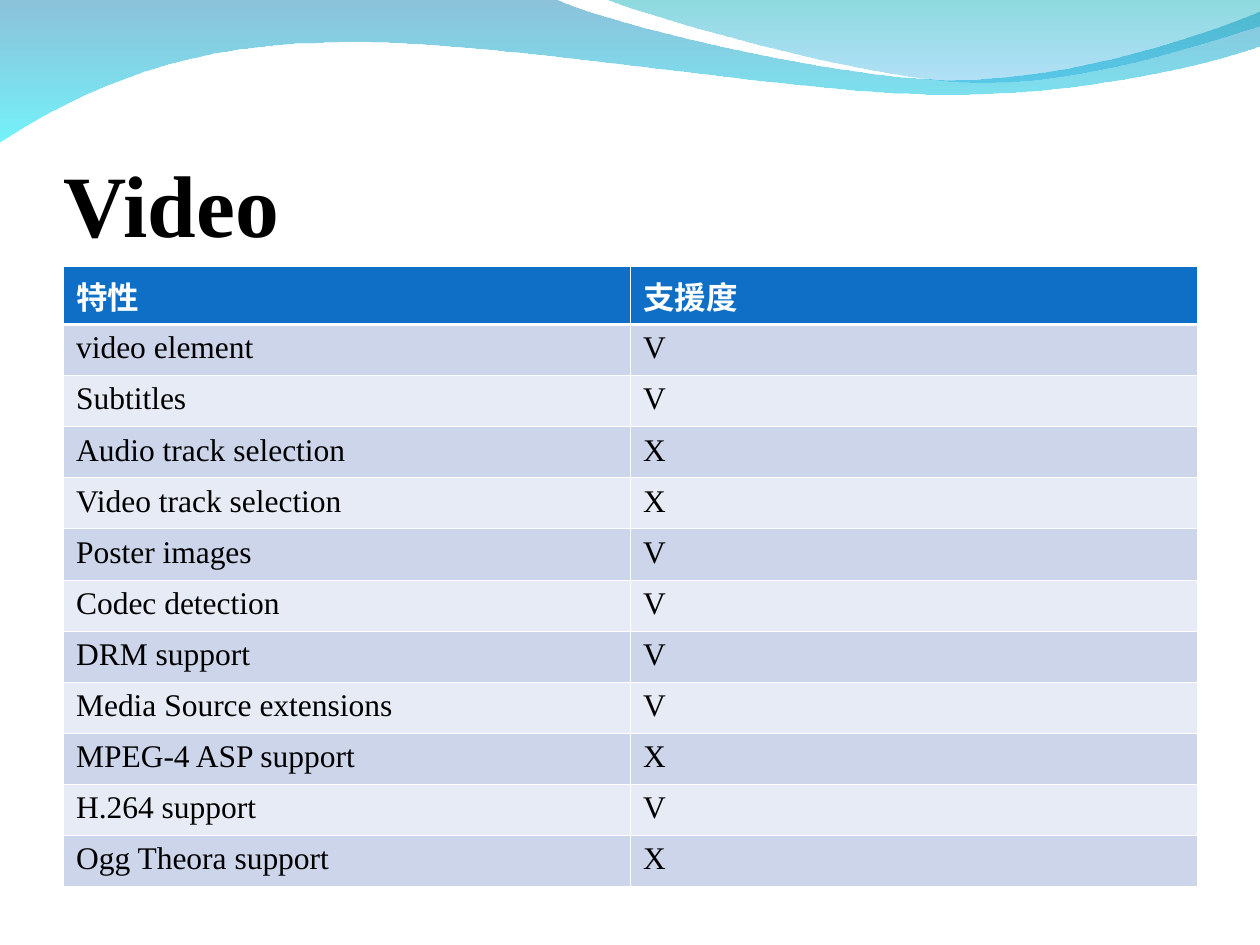
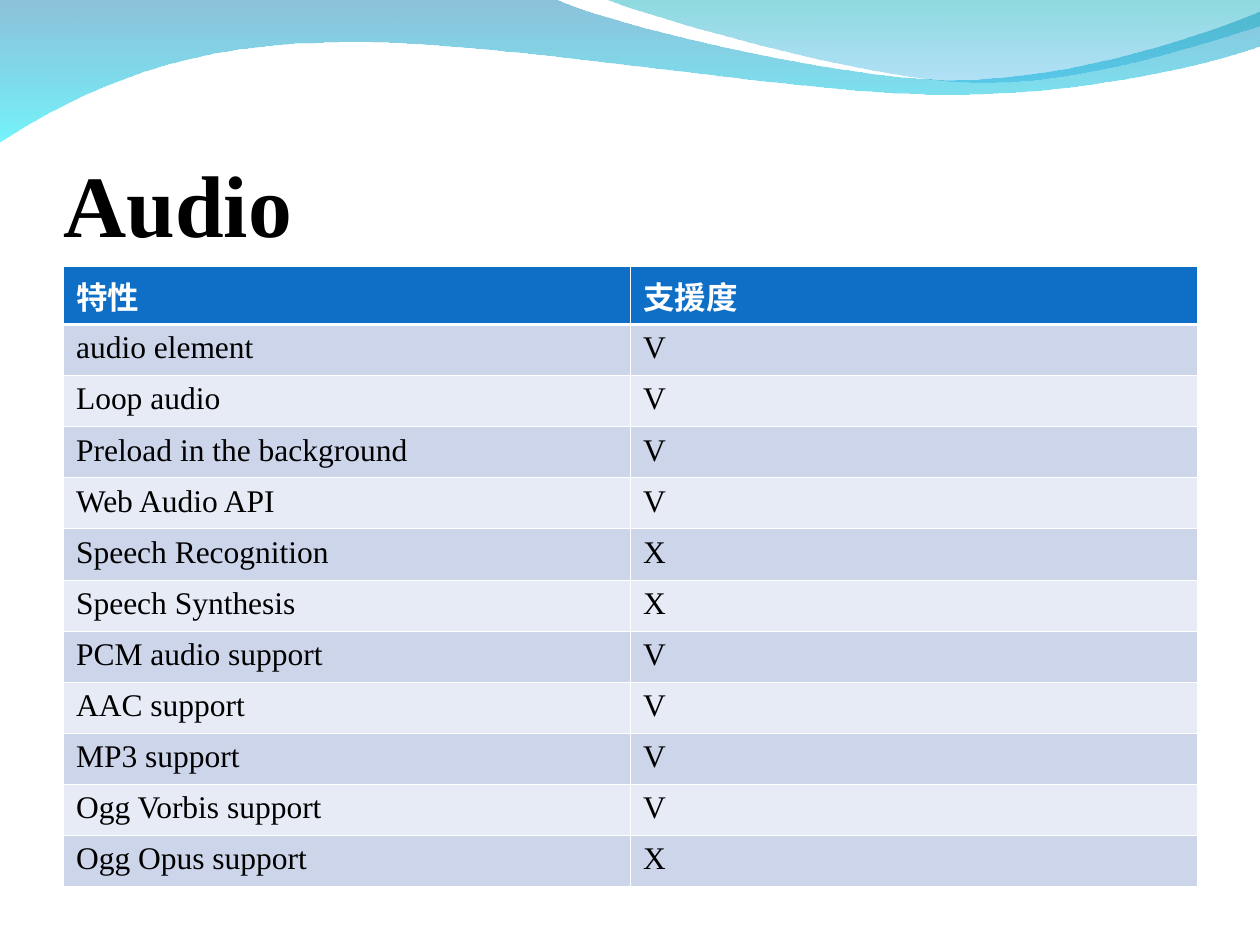
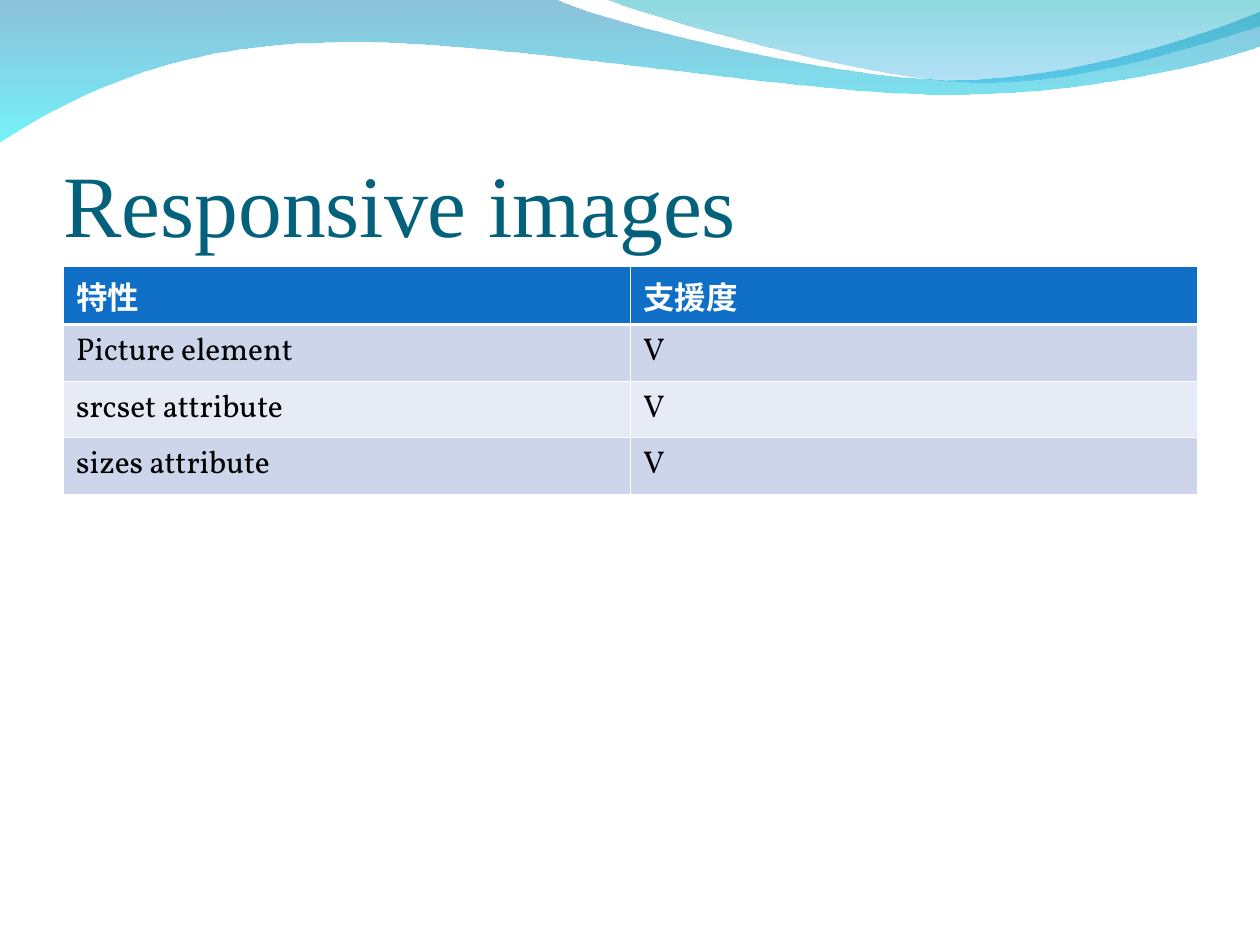
from lxml import etree
from pptx import Presentation
from pptx.dml.color import RGBColor
from pptx.enum.text import MSO_ANCHOR
from pptx.oxml.ns import qn
from pptx.util import Cm, Pt

BOTTOM = MSO_ANCHOR.BOTTOM
COLORS = {
    "white": "FFFFFF", "black": "000000", "teal": "04617B",
    "header": "0F6FC6", "band_dark": "CCD5EA", "band_light": "E7EBF5",
    "wave_blue": "0079AF", "wave_cyan": "00EBF8",
    "wave_green": "00ADB6", "wave_sky": "009BE5",
}
SERIF, CJK, BODY = "Times New Roman", "Noto Sans CJK SC", "Vollkorn"
THIN, THICK = 0.45, 1.47
BLANK_LAYOUT = 6
FIRST_WAVE_ID = 20
HEADER_HEIGHT = Cm(1.17)
ROW_HEIGHTS = {SERIF: Cm(1.03), BODY: Cm(1.14)}

# Outlines in cm: one point makes a line, three points make a Bézier curve.
WAVES = [
    {"start": (0, -0.03),
     "segments": [[(11.18, -0.03)],
                  [(12.09, 0.43), (16.87, 1.6), (19.25, 1.6)],
                  [(21.67, 1.6), (24.33, 0.66), (25.4, 0.23)],
                  [(25.43, 0.91)],
                  [(24.97, 1.12), (22.1, 1.93), (18.95, 1.9)],
                  [(15.8, 1.9), (9.7, 0.71), (6.53, 0.86)],
                  [(3.28, 0.89), (1.17, 2.11), (-0.03, 2.87)]],
     "stops": [("wave_blue", 45), ("wave_cyan", 55)]},
    {"start": (12.17, -0.03),
     "segments": [[(12.93, 0.28), (17.32, 1.57), (19.53, 1.65)],
                  [(21.74, 1.75), (24.41, 0.81), (25.4, 0.53)],
                  [(25.4, 0)]],
     "stops": [("wave_green", 45), ("wave_sky", 30)]},
]

HEADINGS = ("特性", "支援度")
TOPICS = [
    {"title": "Video", "color": "black", "bold": True, "font": SERIF,
     "features": [
         ("video element", "V"), ("Subtitles", "V"),
         ("Audio track selection", "X"), ("Video track selection", "X"),
         ("Poster images", "V"), ("Codec detection", "V"),
         ("DRM support", "V"), ("Media Source extensions", "V"),
         ("MPEG-4 ASP support", "X"), ("H.264 support", "V"),
         ("Ogg Theora support", "X")]},
    {"title": "Audio", "color": "black", "bold": True, "font": SERIF,
     "features": [
         ("audio element", "V"), ("Loop audio", "V"),
         ("Preload in the background", "V"), ("Web Audio API", "V"),
         ("Speech Recognition", "X"), ("Speech Synthesis", "X"),
         ("PCM audio support", "V"), ("AAC support", "V"),
         ("MP3 support", "V"), ("Ogg Vorbis support", "V"),
         ("Ogg Opus support", "X")]},
    {"title": "Responsive images", "color": "teal", "bold": False, "font": BODY,
     "features": [
         ("Picture element", "V"), ("srcset attribute", "V"),
         ("sizes attribute", "V")]},
]


def rgb(name):
    return RGBColor.from_string(COLORS[name])


def add_run(paragraph, text, size, font_name, color, bold):
    run = paragraph.add_run()
    run.text = text
    run.font.size = Pt(size)
    run.font.name = font_name
    run.font.bold = bold
    run.font.color.rgb = rgb(color)
    if font_name == CJK:
        etree.SubElement(run.font._element, qn("a:ea"), typeface=font_name)


def bend_lines(wave, segments):
    """Merge the three lines through each curve's points into one Bézier."""
    lines = iter(list(wave._element.iter(qn("a:lnTo"))))
    for segment in segments:
        parts = [next(lines) for _ in segment]
        if len(parts) == 3:
            parts[0].tag = qn("a:cubicBezTo")
            for part in parts[1:]:
                parts[0].append(part[0])
                part.getparent().remove(part)


def add_wave(slide, left, top, start, segments, stops):
    def to_emu(point):
        return Cm(point[0]), Cm(point[1])

    builder = slide.shapes.build_freeform(*to_emu(start))
    builder.add_line_segments([to_emu(p) for s in segments for p in s], close=False)
    builder.add_line_segments([], close=True)
    wave = builder.convert_to_shape(left, top)
    bend_lines(wave, segments)
    wave.shadow.inherit = False
    wave.line.fill.background()
    wave.fill.gradient()
    wave.fill.gradient_angle = 270
    for stop, (color, _) in zip(wave.fill.gradient_stops, stops):
        stop.color.rgb = rgb(color)
    stop_colors = list(wave._element.spPr.iter(qn("a:srgbClr")))
    for stop_color, (_, opacity) in zip(stop_colors, stops):
        etree.SubElement(stop_color, qn("a:alpha"), val=str(opacity * 1000))
    return wave


def move_waves_to_layout(slide):
    """Draw the waves on the slide, then hand them to its layout for all slides."""
    for wave_id, outline in enumerate(WAVES, FIRST_WAVE_ID):
        element = add_wave(slide, 0, 0, **outline)._element
        element.nvSpPr.cNvPr.set("id", str(wave_id))
        slide.slide_layout.shapes._spTree.append(element)


def add_title(slide, left, top, width, height, topic):
    frame = slide.shapes.add_textbox(left, top, width, height).text_frame
    frame.word_wrap = True
    frame.vertical_anchor = BOTTOM
    frame.margin_left = frame.margin_right = frame.margin_bottom = 0
    add_run(frame.paragraphs[0], topic["title"], 50, SERIF, topic["color"], topic["bold"])


def set_borders(cell, top, bottom):
    """Draw white borders; must run before the cell gets its fill."""
    properties = cell._tc.get_or_add_tcPr()
    for side, width in (("L", THIN), ("R", THIN), ("T", top), ("B", bottom)):
        border = etree.SubElement(properties, qn(f"a:ln{side}"), w=str(Pt(width)))
        fill = etree.SubElement(border, qn("a:solidFill"))
        etree.SubElement(fill, qn("a:srgbClr"), val=COLORS["white"])


def add_feature_table(slide, left, top, width, topic):
    rows = [HEADINGS, *topic["features"]]
    row_height = ROW_HEIGHTS[topic["font"]]
    height = HEADER_HEIGHT + row_height * len(topic["features"])
    table = slide.shapes.add_table(
        len(rows), len(HEADINGS), left, top, width, height).table
    for r, row in enumerate(rows):
        table.rows[r].height = row_height if r else HEADER_HEIGHT
        if r == 0:
            fill, style = "header", (CJK, "white", True)
        else:
            fill = "band_dark" if r % 2 else "band_light"
            style = (topic["font"], "black", False)
        for c, text in enumerate(row):
            cell = table.cell(r, c)
            set_borders(cell, THICK if r == 1 else THIN, THICK if r == 0 else THIN)
            cell.fill.solid()
            cell.fill.fore_color.rgb = rgb(fill)
            add_run(cell.text_frame.paragraphs[0], text, 18, *style)


def add_topic_slide(deck, topic):
    slide = deck.slides.add_slide(deck.slide_layouts[BLANK_LAYOUT])
    left, width = Cm(1.28), Cm(22.86)
    add_title(slide, left, Cm(1.98), width, Cm(3.17), topic)
    add_feature_table(slide, left, Cm(5.37), width, topic)


def main():
    deck = Presentation()
    deck.slide_width, deck.slide_height = Cm(25.4), Cm(19.05)
    for topic in TOPICS:
        add_topic_slide(deck, topic)
    move_waves_to_layout(deck.slides[0])
    deck.save("out.pptx")


if __name__ == "__main__":
    main()
